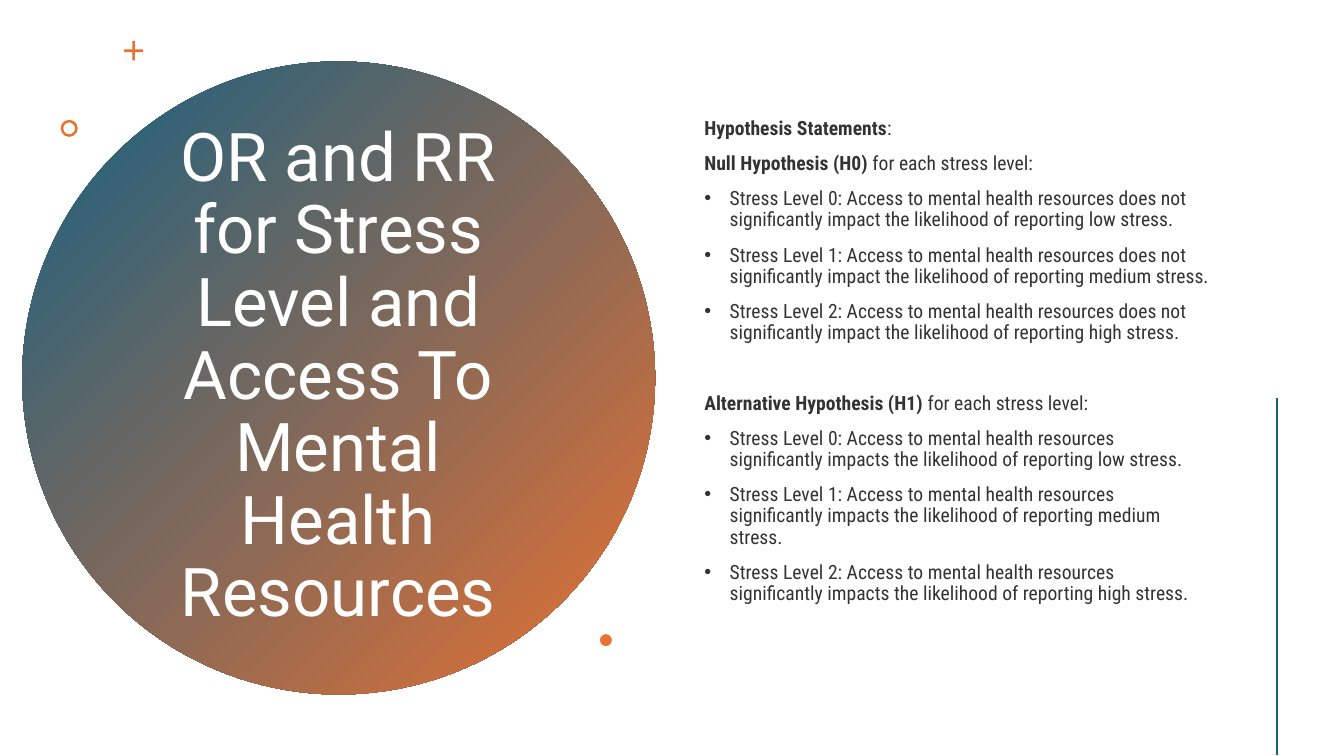
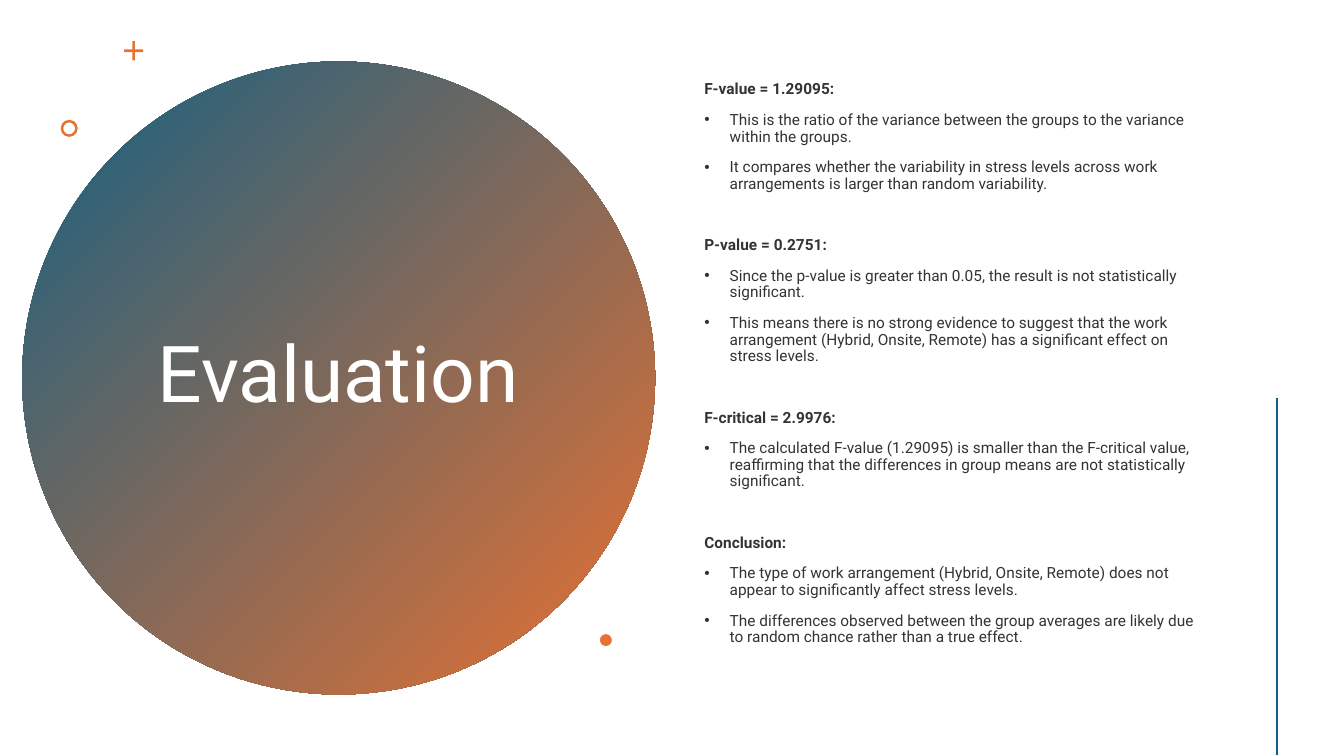
from lxml import etree
from pptx import Presentation, util as u
from pptx.dml import color
from pptx.enum import shapes, text
from pptx.oxml import ns

BLUE, ORANGE, WHITE, INK = "156082", "E97132", "FFFFFF", "333333"
SPACE_BEFORE = 10  # points above each paragraph
SHAPE = shapes.MSO_SHAPE

# Boxes in cm: left, top, width, height
CIRCLE = (0.56, 1.55, 15.95, 15.95)
BODY = (17.5, 1.45, 13.26, 16.21)
RULE = (32.18, 10.03, 0, 9)

# Ornaments: shape, offset from the circle's box, size, adjustment
ORNAMENTS = [
    (SHAPE.CROSS, 2.57, -0.51, 0.48, 0.43),
    (SHAPE.DONUT, 0.97, 1.47, 0.43, 0.15),
    (SHAPE.OVAL, 14.56, 14.43, 0.3, None),
]

# Each section: bold heading, plain rest of the heading, bullets
HYPOTHESES = [
    ("Hypothesis Statements", ":", []),
    ("Null Hypothesis (H0)", " for each stress level:", [
        f"Stress Level {level}: Access to mental health resources does not "
        f"significantly impact the likelihood of reporting {name} stress."
        for level, name in enumerate(("low", "medium", "high"))]),
    ("Alternative Hypothesis (H1)", " for each stress level:", [
        f"Stress Level {level}: Access to mental health resources "
        f"significantly impacts the likelihood of reporting {name} stress."
        for level, name in enumerate(("low", "medium", "high"))]),
]
EVALUATION = [
    ("F-value = 1.29095:", "", [
        "This is the ratio of the variance between the groups to the variance within the groups.",
        "It compares whether the variability in stress levels across work arrangements "
        "is larger than random variability."]),
    ("P-value = 0.2751:", "", [
        "Since the p-value is greater than 0.05, the result is not statistically significant.",
        "This means there is no strong evidence to suggest that the work arrangement "
        "(Hybrid, Onsite, Remote) has a significant effect on stress levels."]),
    ("F-critical = 2.9976:", "", [
        "The calculated F-value (1.29095) is smaller than the F-critical value, reaffirming "
        "that the differences in group means are not statistically significant."]),
    ("Conclusion:", "", [
        "The type of work arrangement (Hybrid, Onsite, Remote) does not appear to "
        "significantly affect stress levels.",
        "The differences observed between the group averages are likely due to random "
        "chance rather than a true effect."]),
]


def rgb(value):
    return color.RGBColor.from_string(value)


def set_all(target, values):
    for key, value in values.items():
        setattr(target, key, value)


def cm(*lengths):
    return [u.Cm(length) for length in lengths]


def add_plain_shape(slide, kind, box):
    shape = slide.shapes.add_shape(kind, *cm(*box))
    shape.shadow.inherit = False
    shape.line.fill.background()
    return shape


def add_text_frame(slide, box):
    frame = slide.shapes.add_textbox(*cm(*box)).text_frame
    set_all(frame, {"word_wrap": True, "vertical_anchor": text.MSO_ANCHOR.MIDDLE})
    return frame


def add_run(paragraph, words, font_format, ink):
    run = paragraph.add_run()
    run.text = words
    set_all(run.font, font_format)
    run.font.color.rgb = rgb(ink)


def add_bullet(paragraph):
    properties = paragraph._p.get_or_add_pPr()
    indent = u.Cm(0.64)
    properties.set("marL", str(indent))
    properties.set("indent", str(-indent))
    etree.SubElement(properties, ns.qn("a:buFont"), typeface="Arial")
    etree.SubElement(properties, ns.qn("a:buChar"), char="•")


def add_title_circle(slide, box, title, size):
    left, top, width, height = box
    circle = add_plain_shape(slide, SHAPE.OVAL, box)
    circle.fill.gradient()
    circle.fill.gradient_angle = 315
    for stop, (position, hue) in zip(circle.fill.gradient_stops, [(0, BLUE), (1, ORANGE)]):
        stop.position = position
        stop.color.rgb = rgb(hue)

    # Title inside the circle
    frame = add_text_frame(slide, (left + 2.9, top + 2.03, 10.13, 11.86))
    paragraph = frame.paragraphs[0]
    set_all(paragraph, {"alignment": text.PP_ALIGN.CENTER, "line_spacing": 0.9})
    add_run(paragraph, title, {"name": "Roboto", "size": u.Pt(size)}, WHITE)

    # Small ornaments around the circle
    for kind, dx, dy, side, adjustment in ORNAMENTS:
        ornament = add_plain_shape(slide, kind, (left + dx, top + dy, side, side))
        ornament.fill.solid()
        ornament.fill.fore_color.rgb = rgb(ORANGE)
        if adjustment is not None:
            ornament.adjustments[0] = adjustment


def add_body(slide, box, sections, font, size):
    frame = add_text_frame(slide, box)
    section_gap = SPACE_BEFORE + 1.08 * size  # one empty line
    frame.margin_bottom = u.Cm(0.13) + u.Pt(section_gap)
    paragraph = None

    def next_paragraph(space):
        new = frame.add_paragraph() if paragraph else frame.paragraphs[0]
        set_all(new, {"line_spacing": 0.9, "space_before": u.Pt(space)})
        return new

    after_bullets = False
    for heading, rest, bullets in sections:
        paragraph = next_paragraph(SPACE_BEFORE + section_gap * after_bullets)
        for words, bold in ((heading, True), (rest, False)):
            if words:
                add_run(paragraph, words, {"name": font, "size": u.Pt(size), "bold": bold}, INK)
        for bullet in bullets:
            paragraph = next_paragraph(SPACE_BEFORE)
            add_bullet(paragraph)
            add_run(paragraph, bullet, {"name": font, "size": u.Pt(size)}, INK)
        after_bullets = bool(bullets)


def add_side_rule(slide, box):
    left, top, width, height = box
    rule = slide.shapes.add_connector(
        shapes.MSO_CONNECTOR.STRAIGHT, *cm(left, top, left + width, top + height))
    rule.line.width = u.Pt(2)
    rule.line.color.rgb = rgb(BLUE)
    etree.SubElement(rule._element.spPr, ns.qn("a:effectLst"))


def add_circle_slide(deck, title, title_size, sections, font, size):
    slide = deck.slides.add_slide(deck.slide_layouts[6])
    add_title_circle(slide, CIRCLE, title, title_size)
    add_body(slide, BODY, sections, font, size)
    add_side_rule(slide, RULE)


def main():
    deck = Presentation()
    set_all(deck, {"slide_width": u.Cm(33.87), "slide_height": u.Cm(19.05)})
    add_circle_slide(deck, "OR and RR for Stress Level and Access To Mental Health Resources", 48,
                     HYPOTHESES, "Roboto Condensed", 14)
    add_circle_slide(deck, "Evaluation", 56, EVALUATION, "Roboto", 11)
    deck.save("out.pptx")


if __name__ == "__main__":
    main()
